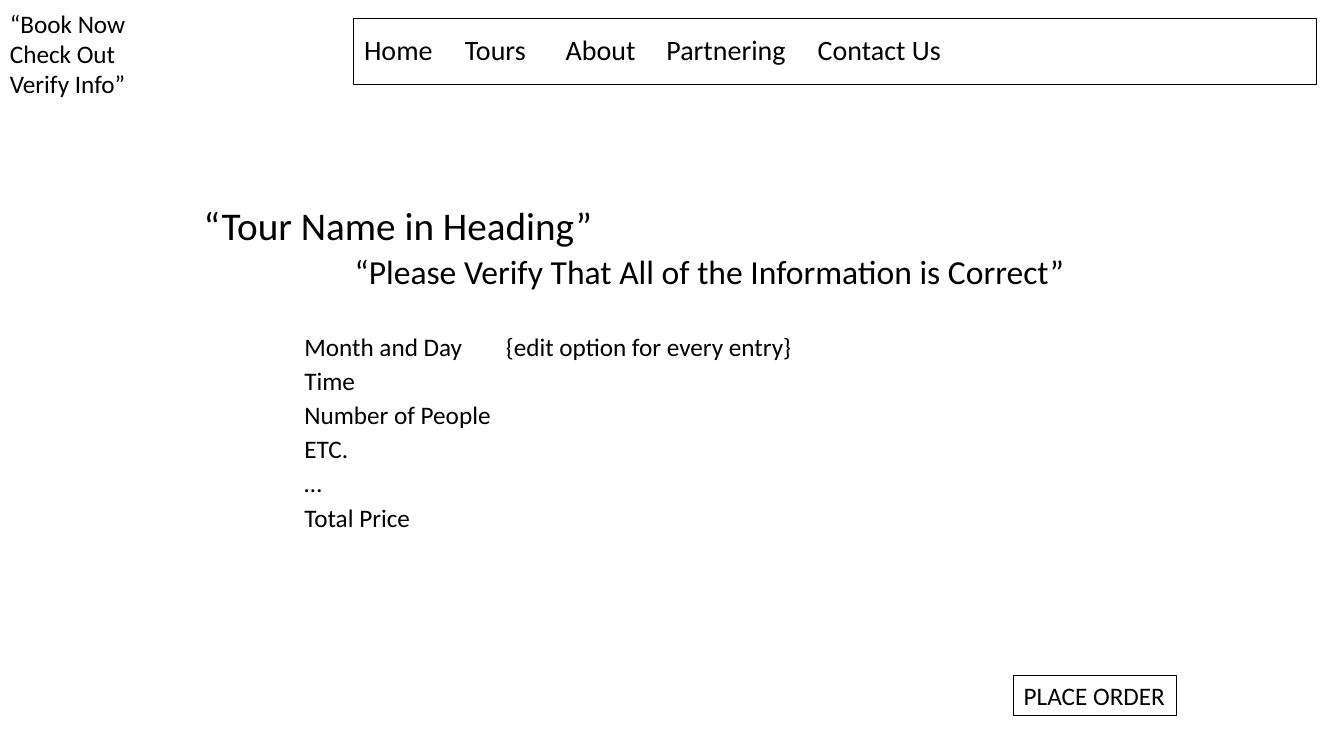
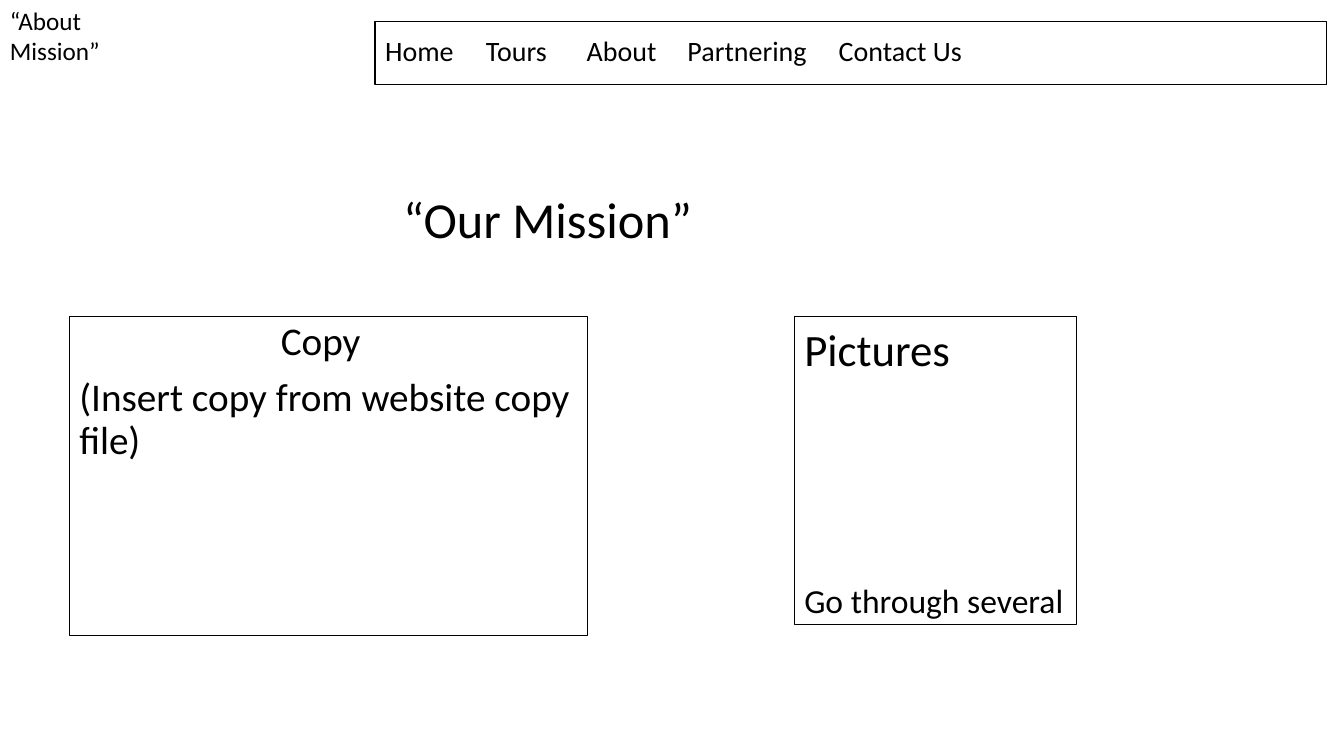
from dataclasses import dataclass
from lxml.etree import SubElement
from pptx import Presentation
from pptx.dml.color import RGBColor
from pptx.enum.text import MSO_ANCHOR, MSO_AUTO_SIZE, PP_ALIGN
from pptx.oxml.ns import qn
from pptx.util import Cm, Pt


@dataclass(frozen=True)
class Theme:
    font: str = "Calibri"
    ink: RGBColor = RGBColor(0, 0, 0)
    rule: float = 0.75
    text: int = 18
    menu: int = 20
    sub: int = 24
    head: int = 28
    label: int = 32
    title: int = 36


@dataclass(frozen=True)
class Line:
    text: str
    size: int
    indent: float = 0
    before: float = 0
    lead: float = 1


@dataclass(frozen=True)
class Box:
    place: tuple
    lines: list
    frame: bool = False
    tabs: tuple = ()


LOOK = Theme()
MENU = ["Home", "Tours", "About", "Partnering", "Contact Us"]
STOPS = (5.08, 10.16, 14.6, 20.32)
FACTS = ["Month and Day\t{edit option for every entry}", "Time",
         "Number of People", "ETC.", "…", "Total Price"]


def plain(texts):
    return [Line(text, LOOK.text) for text in texts]


PAGES = [
    {
        "menu": (8.92, 0.46, 24.26, 1.68),
        "boxes": [
            Box((0, 0.08, 3.45, 2.6),
                plain(["“Book Now", "Check Out", "Verify Info”"])),
            Box((2.34, 5.08, 29.2, 2.5), [
                Line("“Tour Name in Heading”", LOOK.head, 2.54, 0, 0.9),
                Line("“Please Verify That All of the Information is Correct”",
                     LOOK.sub, 6.35, 5, 0.9)]),
            Box((7.42, 8.3, 20, 5.5),
                [Line(fact, LOOK.text, 0, 5 if row else 0, 0.9)
                 for row, fact in enumerate(FACTS)], tabs=(7.62,)),
            Box((25.55, 17.02, 4.11, 1.02), plain(["PLACE ORDER"]), True),
        ],
    },
    {
        "menu": (9.45, 0.53, 23.98, 1.6),
        "boxes": [
            Box((0, 0, 2.79, 1.8), plain(["“About", "Mission”"])),
            Box((9.91, 4.62, 7.85, 1.8),
                [Line("“Our Mission”", LOOK.title)]),
            Box((1.75, 7.98, 13.06, 8.03), [
                Line("Copy", LOOK.head, 5.08, 0, 0.9),
                Line("(Insert copy from website copy file)",
                     LOOK.head, 0, 10, 0.9)], True),
            Box((20.02, 7.98, 7.11, 7.77), [
                Line("Pictures", LOOK.label),
                Line("Go through several", LOOK.sub, 0, 146)], True),
        ],
    },
]


def fill(shape, box):
    frame = shape.text_frame
    frame.word_wrap = True
    frame.auto_size = MSO_AUTO_SIZE.NONE
    frame.margin_right = 0
    if box.frame:
        shape.line.color.rgb = LOOK.ink
        shape.line.width = Pt(LOOK.rule)
    for row, line in enumerate(box.lines):
        para = frame.add_paragraph() if row else frame.paragraphs[0]
        para.alignment = PP_ALIGN.LEFT
        para.line_spacing = line.lead
        para.space_before = Pt(line.before)
        props = para._p.get_or_add_pPr()
        props.set("marL", str(Cm(line.indent)))
        props.set("indent", "0")
        if box.tabs:
            stops = SubElement(props, qn("a:tabLst"))
            for stop in box.tabs:
                SubElement(stops, qn("a:tab"), pos=str(Cm(stop)), algn="l")
        run = para.add_run()
        run.text = line.text
        run.font.name = LOOK.font
        run.font.size = Pt(line.size)
        run.font.color.rgb = LOOK.ink


def add_menu(slide, place):
    title = slide.shapes.title
    title.left, title.top, title.width, title.height = map(Cm, place)
    title.text_frame.vertical_anchor = MSO_ANCHOR.MIDDLE
    line = Line("\t".join(MENU), LOOK.menu, lead=0.9)
    fill(title, Box(place, [line], True, STOPS))


def main():
    deck = Presentation()
    deck.slide_width, deck.slide_height = Cm(33.87), Cm(19.05)
    for page in PAGES:
        slide = deck.slides.add_slide(deck.slide_layouts[5])
        add_menu(slide, page["menu"])
        for box in page["boxes"]:
            fill(slide.shapes.add_textbox(*map(Cm, box.place)), box)
    deck.save("out.pptx")


if __name__ == "__main__":
    main()
